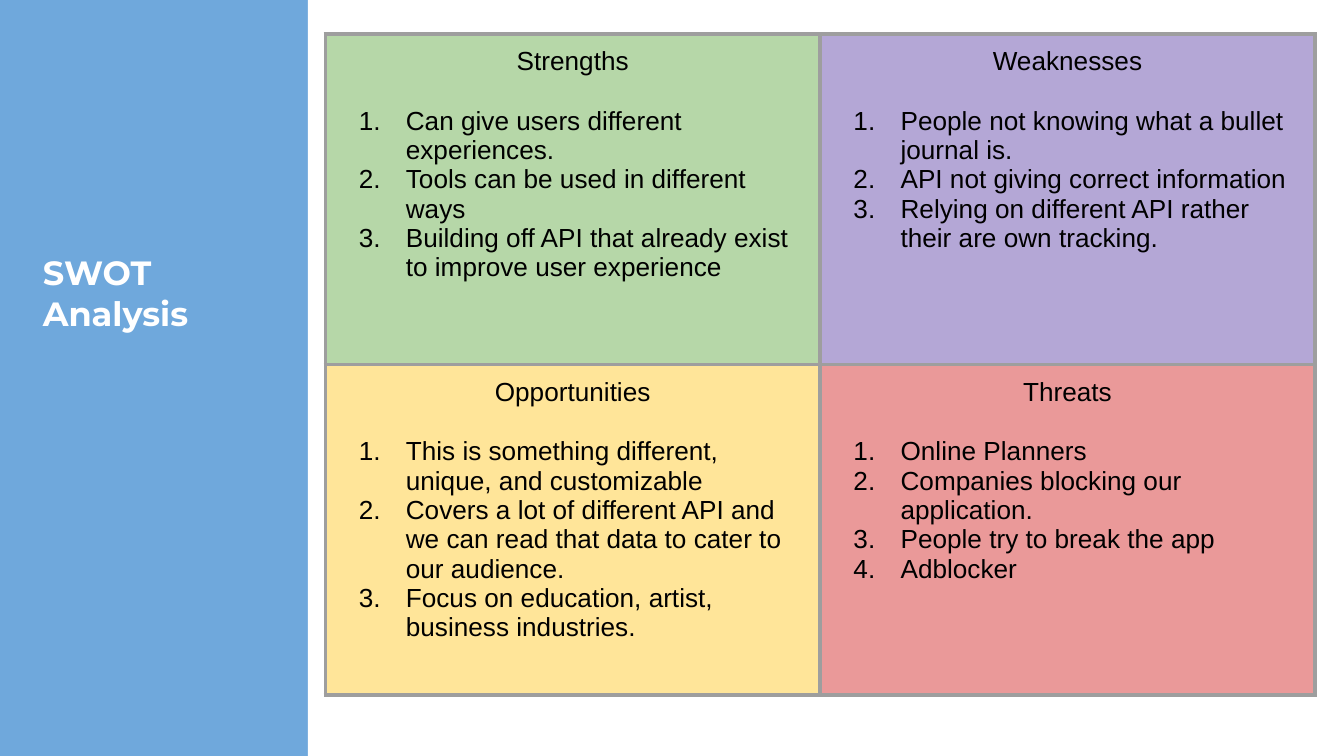
from dataclasses import dataclass

from lxml.etree import SubElement
from pptx import Presentation
from pptx.dml.color import RGBColor as Rgb
from pptx.enum.shapes import MSO_SHAPE as Shape
from pptx.enum.text import PP_ALIGN as Align
from pptx.oxml.ns import qn
from pptx.util import Cm, Pt


@dataclass(frozen=True)
class Theme:
    backdrop: str = "6FA8DC"
    panel: str = "FFFFFF"
    title_color: str = "FFFFFF"
    body_color: str = "000000"
    border: str = "9E9E9E"
    title_font: str = "Montserrat"
    body_font: str = "Arial"
    title_size: float = 18
    body_size: float = 14
    heading_gap: float = 16
    border_width: float = 2.25


@dataclass(frozen=True)
class Quadrant:
    heading: str
    fill: str
    points: tuple[str, ...]


THEME = Theme()
MARGIN = Cm(0.25)
COLUMN_WIDTH, ROW_HEIGHT = Cm(9.35), Cm(6.25)
QUADRANTS = (
    Quadrant("Strengths", "B6D7A8", (
        "Can give users different experiences.",
        "Tools can be used in different ways",
        "Building off API that already exist to improve user experience",
    )),
    Quadrant("Weaknesses", "B4A7D6", (
        "People not knowing what a bullet journal is.",
        "API not giving correct information",
        "Relying on different API rather their are own tracking.",
    )),
    Quadrant("Opportunities", "FFE599", (
        "This is something different, unique, and customizable",
        "Covers a lot of different API and we can read that data to cater to our audience.",
        "Focus on education, artist, business industries.",
    )),
    Quadrant("Threats", "EA9999", (
        "Online Planners",
        "Companies blocking our application.",
        "People try to break the app",
        "Adblocker",
    )),
)


def set_font(para, name: str, size: float, color: str, bold: bool = False) -> None:
    font = para.font
    font.name, font.size, font.bold = name, Pt(size), bold
    font.color.rgb = Rgb.from_string(color)


def set_margins(holder) -> None:
    holder.margin_left = holder.margin_right = MARGIN
    holder.margin_top = holder.margin_bottom = MARGIN


def add_number(para) -> None:
    props = para._p.get_or_add_pPr()
    props.set("marL", str(Cm(1.27)))
    props.set("indent", str(-Cm(0.89)))
    color = SubElement(props, qn("a:buClr"))
    SubElement(color, qn("a:srgbClr"), val=THEME.body_color)
    SubElement(props, qn("a:buFont"), typeface=THEME.body_font)
    SubElement(props, qn("a:buAutoNum"), type="arabicPeriod")


def add_borders(cell) -> None:
    props = cell._tc.get_or_add_tcPr()
    for side in ("lnL", "lnR", "lnT", "lnB"):
        line = SubElement(props, qn(f"a:{side}"), w=str(Pt(THEME.border_width)))
        fill = SubElement(line, qn("a:solidFill"))
        SubElement(fill, qn("a:srgbClr"), val=THEME.border)


def fill_quadrant(cell, quadrant: Quadrant) -> None:
    set_margins(cell)
    add_borders(cell)
    cell.fill.solid()
    cell.fill.fore_color.rgb = Rgb.from_string(quadrant.fill)
    frame = cell.text_frame
    heading = frame.paragraphs[0]
    heading.text = quadrant.heading
    heading.alignment = Align.CENTER
    heading.space_after = Pt(THEME.heading_gap)
    set_font(heading, THEME.body_font, THEME.body_size, THEME.body_color)
    for point in quadrant.points:
        para = frame.add_paragraph()
        para.text = point
        add_number(para)
        set_font(para, THEME.body_font, THEME.body_size, THEME.body_color)


def add_panel(page, deck) -> None:
    left = Cm(5.82)
    panel = page.shapes.add_shape(
        Shape.RECTANGLE, left, 0, deck.slide_width - left, deck.slide_height)
    panel.shadow.inherit = False
    panel.fill.solid()
    panel.fill.fore_color.rgb = Rgb.from_string(THEME.panel)
    panel.line.fill.background()


def add_title(page) -> None:
    box = page.shapes.add_textbox(Cm(0.56), Cm(4.52), Cm(4.75), Cm(2.39))
    frame = box.text_frame
    frame.word_wrap = True
    set_margins(frame)
    para = frame.paragraphs[0]
    para.text = "SWOT Analysis"
    set_font(para, THEME.title_font, THEME.title_size, THEME.title_color, bold=True)


def add_swot_table(page) -> None:
    table = page.shapes.add_table(
        2, 2, Cm(6.15), Cm(0.64), 2 * COLUMN_WIDTH, 2 * ROW_HEIGHT).table
    table.first_row = table.horz_banding = False
    for cell, quadrant in zip(table.iter_cells(), QUADRANTS):
        fill_quadrant(cell, quadrant)


def main() -> None:
    deck = Presentation()
    deck.slide_width, deck.slide_height = Cm(25.4), Cm(14.29)
    page = deck.slides.add_slide(deck.slide_layouts[6])
    page.background.fill.solid()
    page.background.fill.fore_color.rgb = Rgb.from_string(THEME.backdrop)
    add_panel(page, deck)
    add_title(page)
    add_swot_table(page)
    deck.save("out.pptx")


if __name__ == "__main__":
    main()
